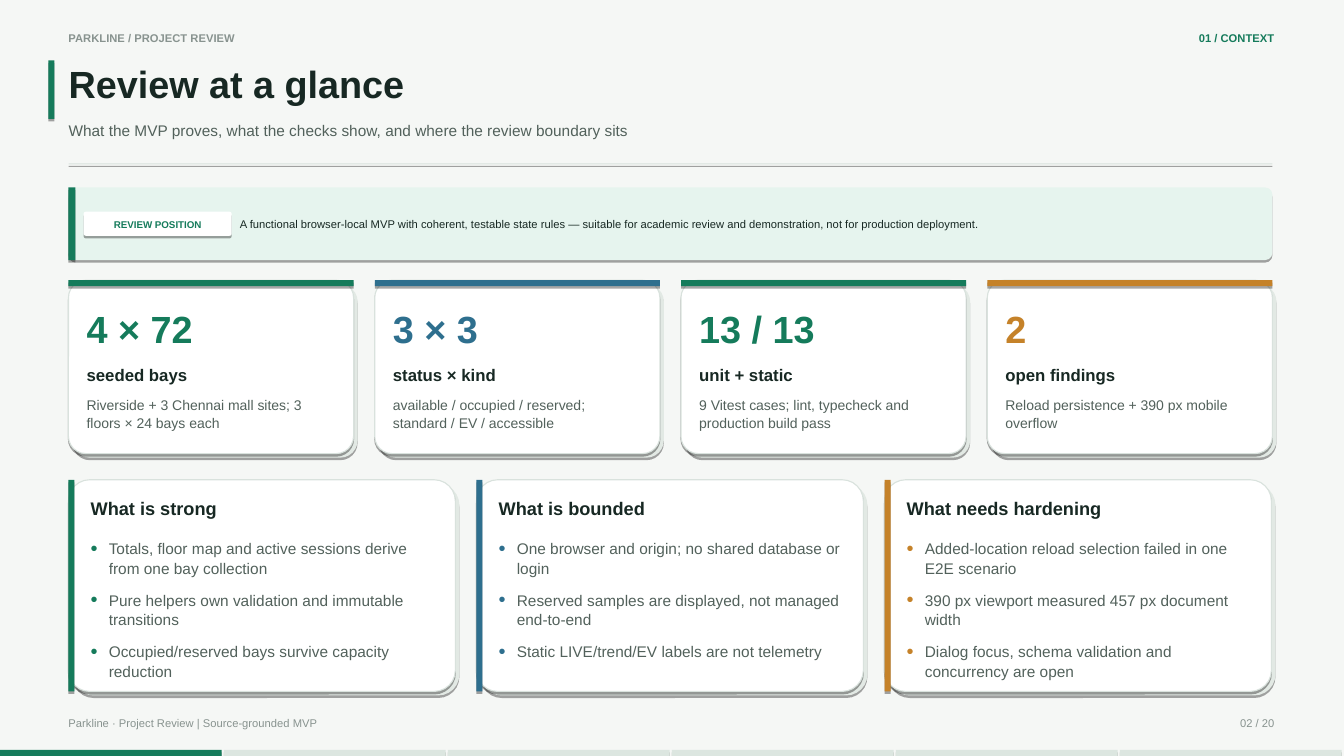
import typing

import lxml.etree
import pptx
import pptx.dml.color
import pptx.enum.shapes
import pptx.enum.text
import pptx.oxml.ns
import pptx.util

Inches = pptx.util.Inches
Pt = pptx.util.Pt
Kind = pptx.enum.shapes.MSO_SHAPE
Align = pptx.enum.text.PP_ALIGN
Anchor = pptx.enum.text.MSO_ANCHOR
qn = pptx.oxml.ns.qn

GREEN, BLUE, AMBER = "157B5B", "2E6F8E", "C58229"
INK, SLATE, GREY = "172823", "52615B", "88938F"
WHITE, RULE, SHADE = "FFFFFF", "D9E2DD", "E2E9E4"
MINT, PALE, PAPER = "E6F4EE", "DCE6E0", "F5F7F5"
LEFT, WIDTH = 0.68, 11.95
SLIDE_W, SLIDE_H = 13.34, 7.5


class Stat(typing.NamedTuple):
    value: str
    label: str
    note: str
    color: str


class Panel(typing.NamedTuple):
    head: str
    items: list[str]
    color: str
    holder: int


STATS = [
    Stat("4 × 72", "seeded bays",
         "Riverside + 3 Chennai mall sites; 3 floors × 24 bays each", GREEN),
    Stat("3 × 3", "status × kind",
         "available / occupied / reserved; standard / EV / accessible", BLUE),
    Stat("13 / 13", "unit + static",
         "9 Vitest cases; lint, typecheck and production build pass", GREEN),
    Stat("2", "open findings",
         "Reload persistence + 390 px mobile overflow", AMBER),
]
PANELS = [
    Panel("What is strong", [
        "Totals, floor map and active sessions derive from one bay collection",
        "Pure helpers own validation and immutable transitions",
        "Occupied/reserved bays survive capacity reduction"], GREEN, 2),
    Panel("What is bounded", [
        "One browser and origin; no shared database or login",
        "Reserved samples are displayed, not managed end-to-end",
        "Static LIVE/trend/EV labels are not telemetry"], BLUE, 3),
    Panel("What needs hardening", [
        "Added-location reload selection failed in one E2E scenario",
        "390 px viewport measured 457 px document width",
        "Dialog focus, schema validation and concurrency are open"], AMBER, 4),
]

deck = pptx.Presentation()
deck.slide_width, deck.slide_height = Inches(SLIDE_W), Inches(SLIDE_H)
slide = deck.slides.add_slide(deck.slide_layouts[4])
holders = {item.placeholder_format.idx: item for item in slide.placeholders}


def paint(target, color: str) -> None:
    """Give a fill a solid colour."""
    target.solid()
    target.fore_color.rgb = pptx.dml.color.RGBColor.from_string(color)


def block(x: float, y: float, w: float, h: float, color: str,
          kind=Kind.RECTANGLE, edge: str | None = None) -> None:
    """Draw a filled shape with a hard shadow just below it."""
    shape = slide.shapes.add_shape(kind, Inches(x), Inches(y), Inches(w), Inches(h))
    paint(shape.fill, color)
    if kind == Kind.ROUNDED_RECTANGLE:
        shape.adjustments[0] = 0.1
    if edge:
        paint(shape.line.fill, edge)
        shape.line.width = Pt(0.79)
    else:
        shape.line.fill.background()
    shape.shadow.inherit = False
    effects = shape._element.spPr.find(qn("a:effectLst"))
    shadow = lxml.etree.SubElement(effects, qn("a:outerShdw"), blurRad="0",
                                   dist=str(Pt(1.8)), dir="5400000",
                                   algn="ctr", rotWithShape="0")
    black = lxml.etree.SubElement(shadow, qn("a:srgbClr"), val="000000")
    lxml.etree.SubElement(black, qn("a:alpha"), val="35000")


def bullet(para, color: str) -> None:
    """Give a paragraph a coloured dot and a hanging indent."""
    props = para._p.get_or_add_pPr()
    props.set("marL", str(Inches(0.18)))
    props.set("indent", str(-Inches(0.18)))
    tint = lxml.etree.SubElement(props, qn("a:buClr"))
    lxml.etree.SubElement(tint, qn("a:srgbClr"), val=color)
    lxml.etree.SubElement(props, qn("a:buSzPct"), val="130000")
    lxml.etree.SubElement(props, qn("a:buFont"), typeface="Arial")
    lxml.etree.SubElement(props, qn("a:buChar"), char="•")


def write(words: str | list[str], x: float, y: float, w: float, h: float, *,
          size: float, color: str = SLATE, bold: bool = False,
          align=Align.LEFT, anchor=Anchor.TOP, lines: float = 1.08,
          gap: float = 0, dots: str | None = None,
          holder: int | None = None) -> None:
    """Write paragraphs in a new text box or in a placeholder."""
    spot = Inches(x), Inches(y), Inches(w), Inches(h)
    if holder is None:
        box = slide.shapes.add_textbox(*spot)
    else:
        box = holders[holder]
        box.left, box.top, box.width, box.height = spot
        slide.shapes._spTree.append(box._element)  # bring to front
    frame = box.text_frame
    frame.word_wrap = True
    frame.auto_size = pptx.enum.text.MSO_AUTO_SIZE.NONE
    frame.vertical_anchor = anchor
    frame.margin_left = frame.margin_right = 0
    frame.margin_top = frame.margin_bottom = 0
    rows = [words] if isinstance(words, str) else words
    for i, row in enumerate(rows):
        para = frame.add_paragraph() if i else frame.paragraphs[0]
        para.alignment = align
        para.line_spacing = lines
        para.space_before = Pt(gap if i else 0)
        para.space_after = Pt(0)
        if dots:
            bullet(para, dots)
        elif holder:
            props = para._p.get_or_add_pPr()
            props.set("marL", "0")
            props.set("indent", "0")
            lxml.etree.SubElement(props, qn("a:buNone"))
        run = para.add_run()
        run.text = row
        run.font.name, run.font.size, run.font.bold = "Arial", Pt(size), bold
        paint(run.font.fill, color)


def card(x: float, y: float, w: float, h: float) -> None:
    """Draw a white card over its offset shade."""
    block(x + 0.04, y + 0.04, w, h, SHADE, Kind.ROUNDED_RECTANGLE)
    block(x, y, w, h, WHITE, Kind.ROUNDED_RECTANGLE, RULE)


# Page frame
paint(slide.background.fill, PAPER)
write("PARKLINE / PROJECT REVIEW", LEFT, 0.3, 4, 0.2, size=8, color=GREY, bold=True)
write("01 / CONTEXT", 9.4, 0.3, 3.25, 0.2, size=8, color=GREEN, bold=True,
      align=Align.RIGHT)
block(0.48, 0.6, 0.06, 0.58, GREEN)
write("Review at a glance", LEFT, 0.57, 11.9, 0.62, size=27, color=INK,
      bold=True, holder=0)
write("What the MVP proves, what the checks show, and where the review boundary sits",
      LEFT, 1.19, 11.9, 0.32, size=11, holder=1)
block(LEFT, 1.62, WIDTH, 0.01, RULE)
write("Parkline · Project Review | Source-grounded MVP", LEFT, 7.1, 6.8, 0.2,
      size=8, color=GREY)
write("02 / 20", 11.25, 7.1, 1.4, 0.2, size=8, color=GREY, align=Align.RIGHT)

# Progress strip
for i in range(6):
    block(i * SLIDE_W / 6, 7.44, 2.2, 0.06, PALE if i else GREEN)

# Review position
block(LEFT, 1.86, WIDTH, 0.72, MINT, Kind.ROUNDED_RECTANGLE)
block(LEFT, 1.86, 0.07, 0.72, GREEN)
block(0.83, 2.1, 1.47, 0.24, WHITE, Kind.ROUNDED_RECTANGLE)
write("REVIEW POSITION", 0.91, 2.1, 1.31, 0.24, size=7, color=GREEN, bold=True,
      align=Align.CENTER, anchor=Anchor.MIDDLE)
write("A functional browser-local MVP with coherent, testable state rules — suitable "
      "for academic review and demonstration, not for production deployment.",
      2.38, 1.88, 10.09, 0.68, size=8, color=INK, anchor=Anchor.MIDDLE, lines=1)

# Key numbers
for i, stat in enumerate(STATS):
    x = LEFT + i * 3.04
    card(x, 2.78, 2.83, 1.72)
    block(x, 2.78, 2.83, 0.06, stat.color)
    write(stat.value, x + 0.18, 3, 2.47, 0.55, size=27, color=stat.color, bold=True)
    write(stat.label, x + 0.18, 3.6, 2.47, 0.34, size=12, color=INK, bold=True)
    write(stat.note, x + 0.18, 3.92, 2.47, 0.5, size=10)

# Findings
for i, panel in enumerate(PANELS):
    x = LEFT + i * 4.05
    card(x, 4.76, 3.84, 2.1)
    block(x, 4.76, 0.06, 2.1, panel.color)
    write(panel.head, x + 0.22, 4.92, 3.42, 0.34, size=13, color=INK, bold=True)
    write(panel.items, x + 0.22, 5.34, 3.4, 1.45, size=11, lines=1.05, gap=9.1,
          dots=panel.color, holder=panel.holder)

deck.save("out.pptx")
